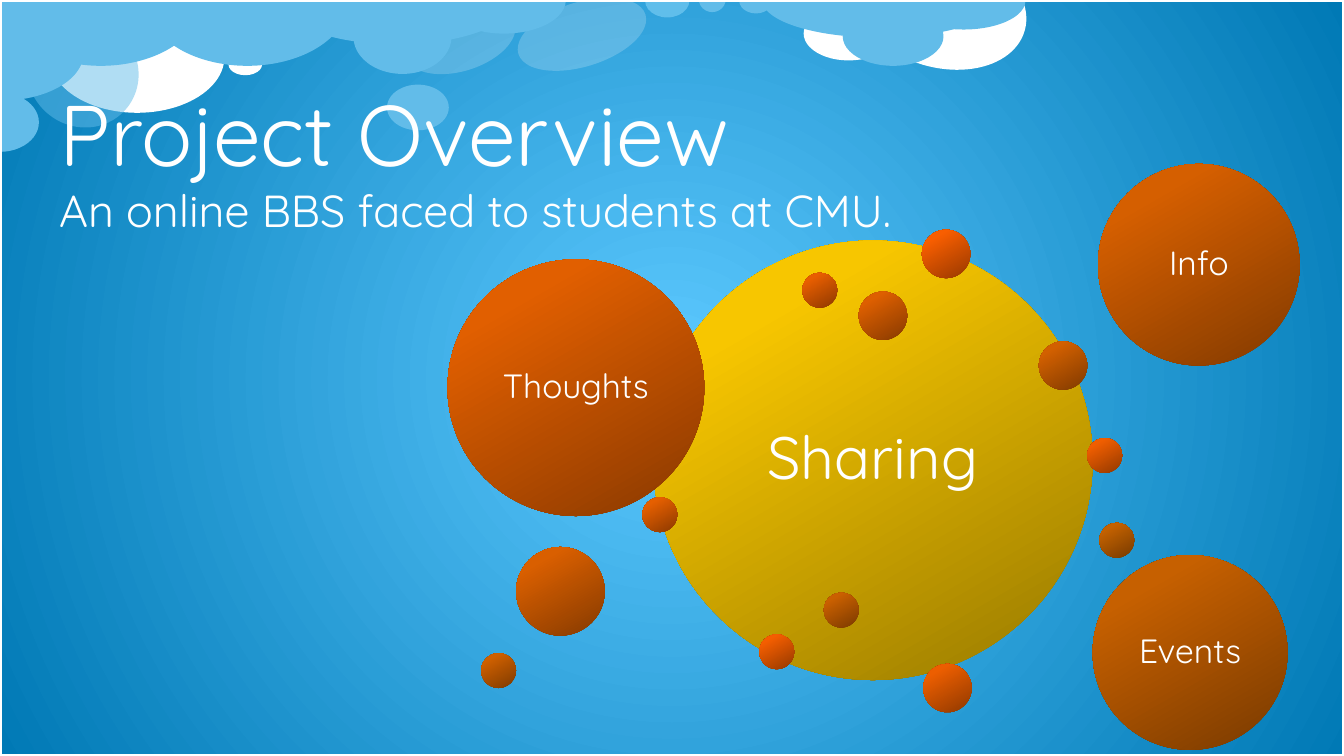
"""Build the Project Overview slide with its cloudy sky and topic bubbles."""
import pptx
import pptx.util
import pptx.dml.color
import pptx.enum.shapes
import pptx.enum.text
import pptx.oxml.ns
from lxml import etree

qn = pptx.oxml.ns.qn
kinds = pptx.enum.shapes.MSO_SHAPE
aligns = pptx.enum.text.PP_ALIGN
anchors = pptx.enum.text.MSO_ANCHOR
WHITE, CLOUD = "FFFFFF", "62BCE9"


def tint(color, code):
    """Set a colour from its hex string."""
    color.rgb = pptx.dml.color.RGBColor.from_string(code)


def blend(fill, node, stops, way, **attrs):
    """Fill with a gradient of (position, hex) stops and return its direction."""
    fill.gradient()
    grad = node.find(".//" + qn("a:gradFill"))
    grad.clear()
    grad.set("rotWithShape", "1")
    row = etree.SubElement(grad, qn("a:gsLst"))
    for pos, code in stops:
        stop = etree.SubElement(row, qn("a:gs"), pos=str(pos * 1000))
        etree.SubElement(stop, qn("a:srgbClr"), val=code)
    return etree.SubElement(grad, qn("a:" + way), **attrs)


deck = pptx.Presentation()
deck.slide_width = pptx.util.Inches(10)
deck.slide_height = deck.slide_width * 9 // 16
unit = deck.slide_width // 1000
slide = deck.slides.add_slide(deck.slide_layouts[1])
shapes = slide.shapes

sky = blend(slide.background.fill, slide.element,
            [(0, "5DC9FF"), (100, "0079B5")], "path", path="circle")
etree.SubElement(sky, qn("a:fillToRect"), dict.fromkeys("ltrb", "50000"))

oval, arc, pie = kinds.OVAL, kinds.ARC, kinds.PIE
half = (0, 108)
clouds = [
    (oval, 318, -14, 48, 86, 72.8, WHITE, 20, ()),
    (oval, 37, 1, 130, 83, 0, WHITE, 100, ()),
    (arc, 654, -61, 91, 131, 106.5, WHITE, 100, (151.8, 44.48)),
    (oval, 598, 5, 67, 40, 0, WHITE, 100, ()),
    (pie, -1, -50, 152, 99, 0, CLOUD, 100, half),
    (pie, 208, -33, 175, 66, 0, CLOUD, 100, half),
    (oval, 288, 63, 46, 34, 0, CLOUD, 100, ()),
    (oval, 19, 13, 85, 81, 41.8, CLOUD, 50, ()),
    (pie, -22, 62, 44, 58, 270, CLOUD, 100, half),
    (oval, 170, 40, 25, 16, 0, WHITE, 100, ()),
    (pie, 108, -50, 152, 99, 0, CLOUD, 100, half),
    (pie, 567, -28, 175, 56, 0, CLOUD, 100, half),
    (oval, 627, 5, 75, 44, 0, CLOUD, 100, ()),
    (pie, 671, -21, 92, 43, 0, CLOUD, 100, half),
    (oval, 409, -24, 48, 99, 72.8, WHITE, 20, ()),
    (pie, 480, -12, 33, 25, 0, "8FD9FB", 50, half),
    (pie, 520, -10, 20, 19, 0, CLOUD, 100, half),
    (pie, 550, -9, 25, 19, 0, CLOUD, 100, half),
    (oval, 263, 0, 73, 55, 0, CLOUD, 100, ()),
    (pie, 329, -25, 92, 50, 0, CLOUD, 100, half),
    (pie, -35, -22, 70, 124, 270, CLOUD, 100, half),
]
for kind, x, y, w, h, turn, code, alpha, bends in clouds:
    puff = shapes.add_shape(kind, x * unit, y * unit, w * unit, h * unit)
    puff.shadow.inherit = False
    puff.rotation = turn
    for i, bend in enumerate(bends):
        puff.adjustments[i] = bend
    puff.fill.solid()
    tint(puff.fill.fore_color, code)
    puff.line.fill.background()
    if alpha < 100:
        color = puff.element.find(".//" + qn("a:srgbClr"))
        etree.SubElement(color, qn("a:alpha"), val=str(alpha * 1000))

frame = shapes.add_shape(kinds.RECTANGLE, 0, 0, deck.slide_width, deck.slide_height)
frame.shadow.inherit = False
frame.fill.background()
tint(frame.line.color, WHITE)
frame.line.width = pptx.util.Pt(2)

title, body = shapes.title, slide.placeholders[1]
texts = [
    (title, "Project Overview", 46, 10, aligns.LEFT, anchors.TOP, pptx.util.Pt(56)),
    (body, "An online BBS faced to students at CMU.", 24, 10, aligns.LEFT, anchors.TOP, 1.0),
]
for holder, y, h in [(title, 49, 63), (body, 126, 374)]:
    holder.left, holder.top = 34 * unit, y * unit
    holder.width, holder.height = 932 * unit, h * unit
    shapes.element.append(holder.element)

bubbles = [
    (486, 179, 327, "Sharing"),
    (686, 171, 36, ""), (565, 472, 26, ""), (809, 326, 26, ""),
    (687, 494, 36, ""), (597, 203, 26, ""), (478, 370, 26, ""),
    (333, 193, 191, "Thoughts"), (639, 217, 36, ""), (384, 407, 66, ""),
    (817, 122, 150, "Info"), (773, 254, 36, ""), (358, 486, 26, ""),
    (613, 441, 26, ""), (813, 413, 145, "Events"), (818, 389, 26, ""),
]
last = len(bubbles) - 2
for i, (x, y, size, words) in enumerate(bubbles):
    ball = shapes.add_shape(oval, x * unit, y * unit, size * unit, size * unit)
    ball.shadow.inherit = False
    ball.line.fill.background()
    dark, light = "977900", "F7C600"
    if i:
        part = (i - 1) / last
        dark = f"{int(152 - 33 * part):02X}{int(57 + 2 * part):02X}00"
        light = f"{int(248 - 53 * part):02X}{int(94 + 3 * part):02X}00"
    blend(ball.fill, ball.element, [(0, dark), (80, light), (100, light)],
          "lin", ang=str(240 * 60000), scaled="0")
    if words:
        side = int(size * unit * 0.71)
        edge = (size * unit - side) // 2
        label = shapes.add_textbox(x * unit + edge, y * unit + edge, side, side)
        point, inset = (18, 7) if i else (32, 13)
        texts.append((label, words, point, inset, aligns.CENTER, anchors.MIDDLE, 0.9))

for box, words, point, inset, align, anchor, pitch in texts:
    text = box.text_frame
    text.text = words
    text.word_wrap = True
    text.auto_size = pptx.enum.text.MSO_AUTO_SIZE.NONE
    text.vertical_anchor = anchor
    text.margin_left = text.margin_right = inset * unit
    text.margin_top = text.margin_bottom = inset * unit
    para = text.paragraphs[0]
    para.alignment = align
    para.line_spacing = pitch
    para.space_before = pptx.util.Pt(0)
    font = para.runs[0].font
    font.name, font.size = "Quicksand", pptx.util.Pt(point)
    tint(font.color, WHITE)

para = body.text_frame.paragraphs[0]
para.space_after = pptx.util.Pt(20)
props = para._p.get_or_add_pPr()
props.set("marL", str(38 * unit))
props.set("indent", str(-38 * unit))
etree.SubElement(props, qn("a:buNone"))

deck.save("out.pptx")
